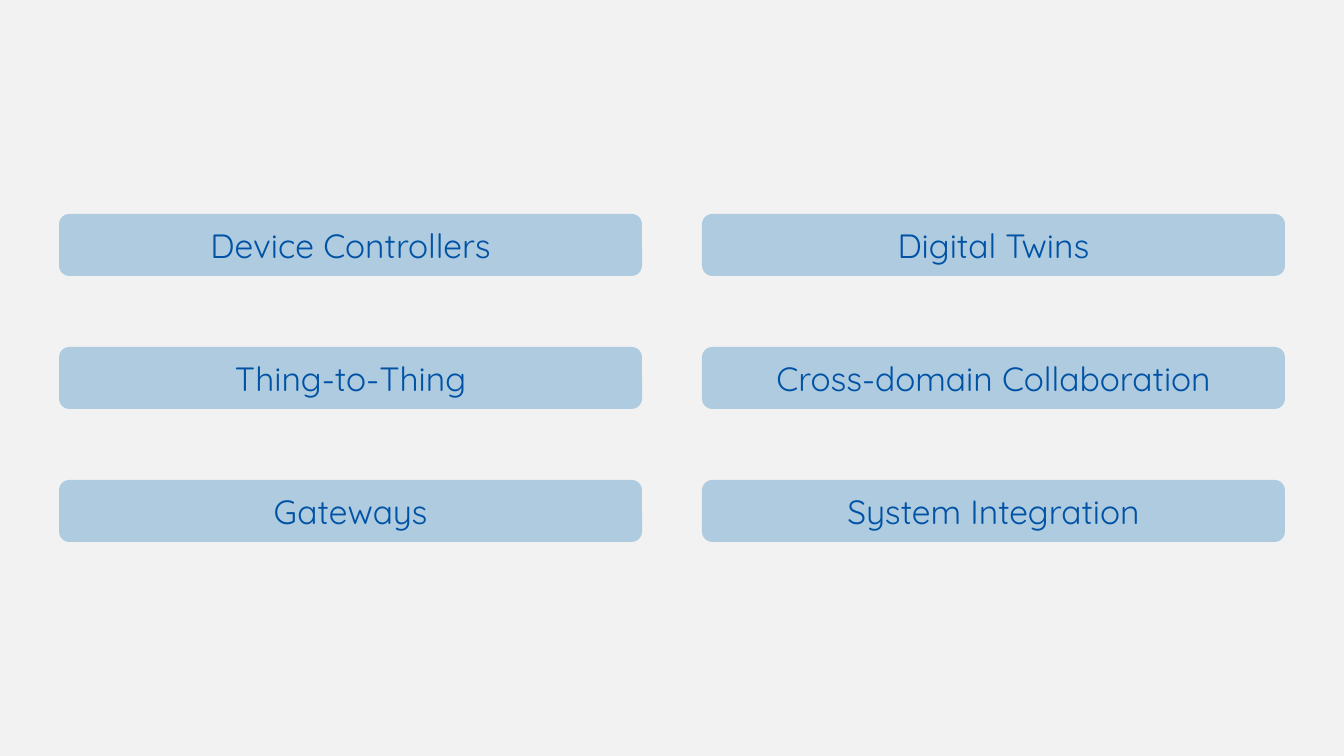
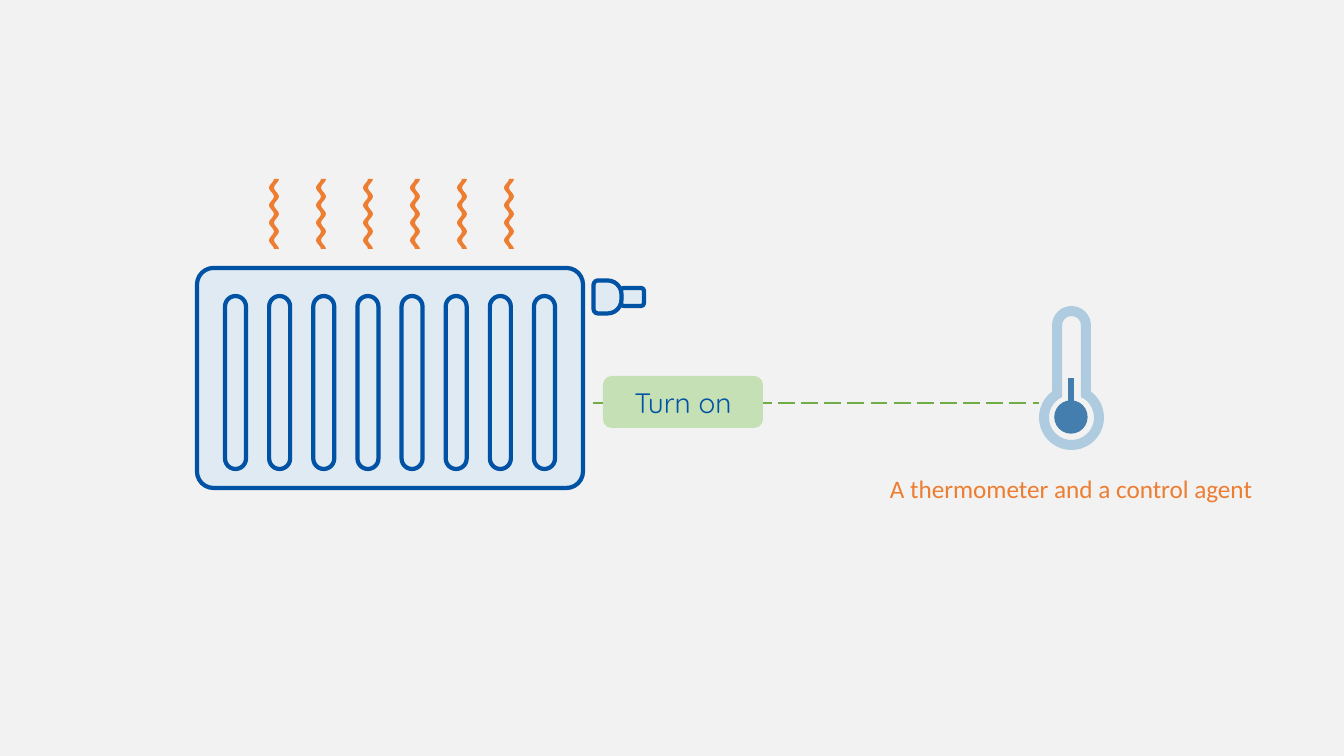
"""Build two slides: a topic grid and a radiator controlled by a thermometer."""
from dataclasses import dataclass
from itertools import chain
from math import asin, cos, pi, sin, tan

from lxml import etree
from pptx import Presentation
from pptx import util as u
from pptx.dml.color import RGBColor
from pptx.enum import dml, shapes, text
from pptx.oxml import ns

PX = 914400 / 100.8
FINE = 100


@dataclass(frozen=True)
class Theme:
    """Colours, fonts and type sizes shared by the slides."""
    back: str = "F2F2F2"
    blue: str = "0052A5"
    steel: str = "447EAF"
    sky: str = "AFCBE0"
    pale: str = "DFEAF3"
    green: str = "70AD47"
    mint: str = "C5E0B4"
    orange: str = "ED7D31"
    display: str = "Quicksand"
    plain: str = "Calibri"
    topic_size: int = 24
    action_size: int = 20
    caption_size: int = 18
    outline: int = 3


THEME = Theme()
TOPICS = (
    ("Device Controllers", "Thing-to-Thing", "Gateways"),
    ("Digital Twins", "Cross-domain Collaboration", "System Integration"),
)


def emu(*lengths):
    """Turn px lengths into EMU."""
    return [round(length * PX) for length in lengths]


def spread(first, last, count):
    """Return evenly spaced positions from first to last."""
    return [first + (last - first) * i / (count - 1) for i in range(count)]


def write(shape, words, *, size, color, font=THEME.display, align=text.PP_ALIGN.CENTER,
          anchor=text.MSO_ANCHOR.MIDDLE, wrap=True):
    """Write formatted words into a shape."""
    frame = shape.text_frame
    frame.word_wrap = wrap
    frame.vertical_anchor = anchor
    para = frame.paragraphs[0]
    para.alignment = align
    span = para.add_run()
    span.text = words
    span.font.size = u.Pt(size)
    span.font.name = font
    span.font.color.rgb = RGBColor.from_string(color)


def paint(shape, fill, line=None, weight=THEME.outline):
    """Give a shape a flat fill and an optional outline."""
    shape.shadow.inherit = False
    shape.fill.solid()
    shape.fill.fore_color.rgb = RGBColor.from_string(fill)
    if line:
        shape.line.color.rgb = RGBColor.from_string(line)
        shape.line.width = u.Pt(weight)
    else:
        shape.line.fill.background()
    return shape


def add_block(page, box, fill, *, kind=shapes.MSO_SHAPE.ROUNDED_RECTANGLE, adjust=(), **outline):
    """Add a painted preset shape in a px box."""
    block = page.shapes.add_shape(kind, *emu(*box))
    for index, value in enumerate(adjust):
        block.adjustments[index] = value
    return paint(block, fill, **outline)


def add_line(page, start, end, color, weight, dash=None):
    """Add a straight line between two px points."""
    line = page.shapes.add_connector(shapes.MSO_CONNECTOR.STRAIGHT, *emu(*start, *end))
    line.line.color.rgb = RGBColor.from_string(color)
    line.line.width = u.Pt(weight)
    if dash:
        line.line.dash_style = dash
    etree.SubElement(line._element.spPr, ns.qn("a:effectLst"))


def add_outline(page, contours, fill):
    """Add a freeform whose segments hold one point (line) or three (curve)."""
    fine = [[(x * FINE, y * FINE) for x, y in chain(*contour)] for contour in contours]
    builder = page.shapes.build_freeform(*fine[0][0], scale=PX / FINE)
    for index, points in enumerate(fine):
        if index:
            builder.move_to(*points[0])
        builder.add_line_segments(points[1:], close=True)
    shape = builder.convert_to_shape()
    nodes = iter(shape._element.xpath(".//a:path/a:moveTo | .//a:path/a:lnTo"))
    for segment in chain(*contours):
        first, *others = [next(nodes) for _ in segment]
        if others:
            curve = etree.Element(ns.qn("a:cubicBezTo"))
            first.addprevious(curve)
            for node in (first, *others):
                curve.append(node[0])
                node.getparent().remove(node)
    return paint(shape, fill)


def arc(x, y, radius, start, end, pieces):
    """Return a starting point and the curves of a circular arc."""
    def point(angle, pull=0):
        return (x + radius * (cos(angle) - pull * sin(angle)),
                y + radius * (sin(angle) + pull * cos(angle)))

    pull = 4 / 3 * tan((end - start) / pieces / 4)
    angles = spread(start, end, pieces + 1)
    return [[point(start)]] + [[point(a, pull), point(b, -pull), point(b)]
                               for a, b in zip(angles, angles[1:])]


def keyhole(x, stem_y, stem_radius, bulb_y, bulb_radius):
    """Return the contour of a round-topped stem on a bulb."""
    gap = asin(stem_radius / bulb_radius)
    return (arc(x, stem_y, stem_radius, pi, 2 * pi, 2)
            + arc(x, bulb_y, bulb_radius, gap - pi / 2, 1.5 * pi - gap, 4))


def ripple(left, right, start, end, swings):
    """Return a starting point and the curves of a vertical wave."""
    ys = spread(start, end, swings + 1)
    bend = 0.36 * (ys[1] - ys[0])
    sides = [(right, left)[i % 2] for i in range(swings + 1)]
    stops = list(zip(sides, ys))
    return [[stops[0]]] + [[(a, y + bend), (b, z - bend), (b, z)]
                           for (a, y), (b, z) in zip(stops, stops[1:])]


def add_topics(page, box):
    """Place the topic columns in a box."""
    left, top, width, height = box
    block_width, block_height = 583, 62
    columns = spread(left, left + width - block_width, len(TOPICS))
    for x, topics in zip(columns, TOPICS):
        group = page.shapes.add_group_shape()
        rows = spread(top, top + height - block_height, len(topics))
        for y, topic in zip(rows, topics):
            block = add_block(group, (x, y, block_width, block_height), THEME.sky)
            write(block, topic, size=THEME.topic_size, color=THEME.blue)


def add_radiator(page, box):
    """Place the radiator with its fins and valve."""
    left, top, width, height = box
    look = {"fill": THEME.pale, "line": THEME.blue}
    group = page.shapes.add_group_shape()
    add_block(group, box, adjust=[0.075], **look)
    for x in spread(left + 28, left + width - 49, 8):
        add_block(group, (x, top + 28, 21, height - 47), adjust=[0.5], **look)
    add_block(group, (left + width + 38, top + 20, 23, 18), **look)
    knob = add_block(group, (left + width + 8, top + 15, 33, 28), adjust=[0.5, 0.16],
                     kind=shapes.MSO_SHAPE.ROUND_2_SAME_RECTANGLE, **look)
    knob.rotation = 90


def add_heat(page, box, count=6, swings=8):
    """Place a row of rising heat waves in a box."""
    left, top, width, height = box
    swing, stroke = 5, 5
    group = page.shapes.add_group_shape()
    for x in spread(left, left + width - stroke - swing, count):
        edge = ripple(x, x + swing, top, top + height, swings)
        facing = ripple(x + stroke, x + stroke + swing, top + height, top, swings)
        add_outline(group, [edge + facing], THEME.orange)


def add_signal(page, box):
    """Place the dashed command line across a box."""
    left, top, width, height = box
    middle = top + height / 2
    add_line(page, (left, middle), (left + width, middle), THEME.green, 1.5,
             dml.MSO_LINE.LONG_DASH)


def add_thermometer(page, box):
    """Place the thermometer glass in a box."""
    left, top, width, height = box
    center, radius, wall = left + width / 2, width / 2, 10
    stem, bulb_y = 19.5, top + height - radius
    add_outline(page, [
        keyhole(center, top + stem, stem, bulb_y, radius),
        keyhole(center, top + stem, stem - wall, bulb_y, radius - wall),
    ], THEME.sky)


def add_mercury(page, box):
    """Place the mercury bulb and column in a box."""
    left, top, width, height = box
    add_block(page, (left, top + height - width, width, width), THEME.steel,
              kind=shapes.MSO_SHAPE.OVAL, line=THEME.steel, weight=1)
    center = left + width / 2
    add_line(page, (center, top), (center, top + 30), THEME.steel, 4.5)


def add_action(page, box, words):
    """Place the command label."""
    block = add_block(page, box, THEME.mint)
    write(block, words, size=THEME.action_size, color=THEME.blue)


def add_caption(page, box, words):
    """Place a one-line caption."""
    caption = page.shapes.add_textbox(*emu(*box))
    write(caption, words, size=THEME.caption_size, color=THEME.orange, font=THEME.plain,
          align=text.PP_ALIGN.LEFT, anchor=text.MSO_ANCHOR.TOP, wrap=False)
    caption.text_frame.auto_size = text.MSO_AUTO_SIZE.SHAPE_TO_FIT_TEXT


def topics_slide(page):
    """Compose the topic grid."""
    add_topics(page, (59, 214, 1226, 328))


def heating_slide(page):
    """Compose the heating scene."""
    add_radiator(page, (197, 268, 386, 220))
    add_thermometer(page, (1039, 306, 65, 144))
    add_signal(page, (593, 376, 446, 54))
    add_mercury(page, (1055, 378, 32, 55))
    add_action(page, (603, 376, 160, 52), "Turn on")
    add_heat(page, (269, 179, 245, 70))
    add_caption(page, (880, 468, 387, 40), "A thermometer and a control agent")


def main():
    """Build and save the deck."""
    deck = Presentation()
    deck.slide_width, deck.slide_height = emu(1344, 756)
    back = deck.slide_master.background.fill
    back.solid()
    back.fore_color.rgb = RGBColor.from_string(THEME.back)
    for compose in (topics_slide, heating_slide):
        compose(deck.slides.add_slide(deck.slide_layouts[6]))
    deck.save("out.pptx")


if __name__ == "__main__":
    main()
